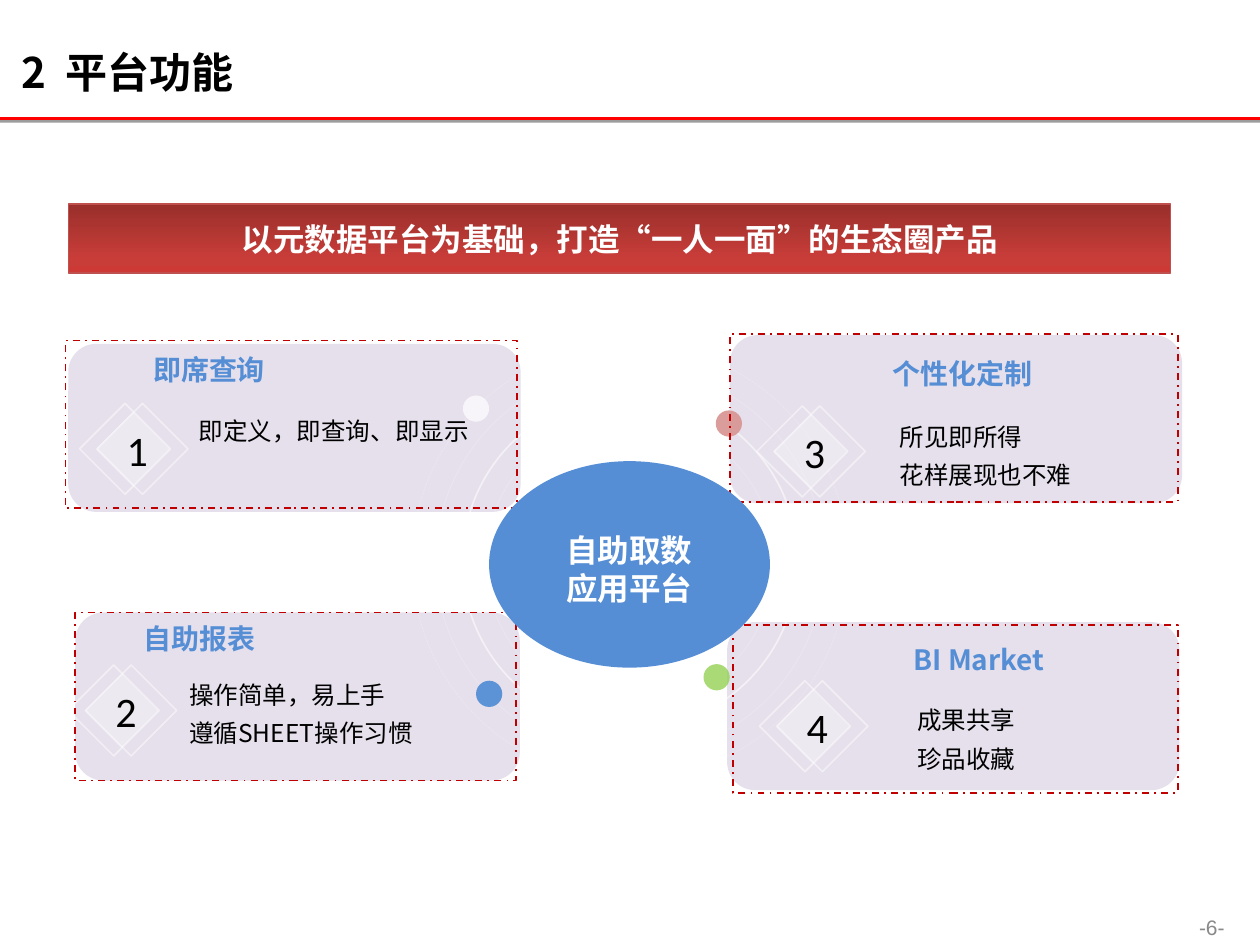
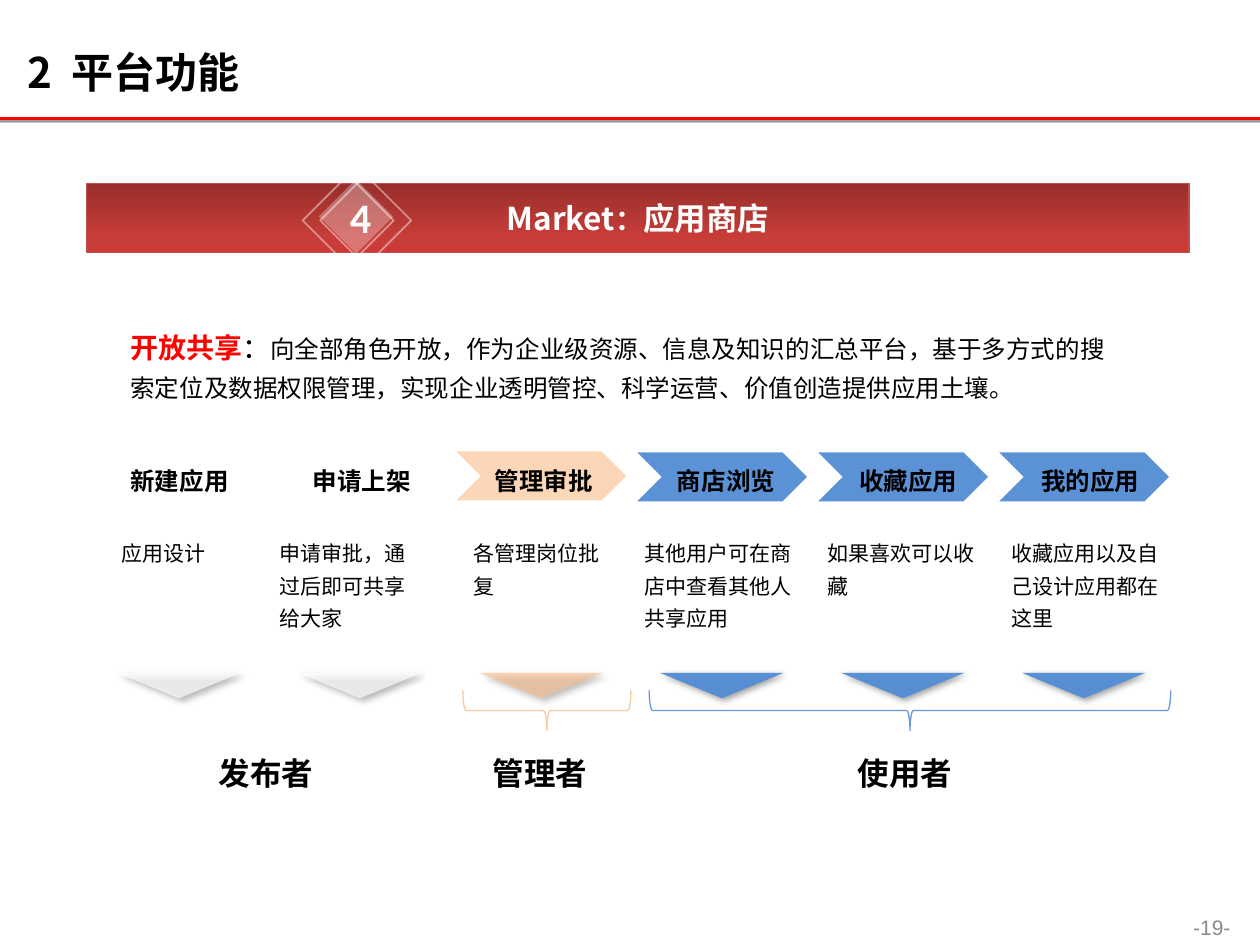
from dataclasses import dataclass

import lxml.etree
import pptx
import pptx.dml.color
import pptx.enum.dml
import pptx.enum.shapes
import pptx.enum.text
import pptx.oxml.ns
import pptx.util

Pt = pptx.util.Pt
qn = pptx.oxml.ns.qn
SHAPE = pptx.enum.shapes.MSO_SHAPE
DASH = pptx.enum.dml.MSO_LINE
ALIGN = pptx.enum.text.PP_ALIGN
ANCHOR = pptx.enum.text.MSO_ANCHOR

COLORS = {
    "white": "FFFFFF", "black": "000000", "red": "FF0000", "frame": "C00000",
    "panel": "E6E0EC", "blue": "558ED5", "rose": "D99694", "green": "92D050",
    "peach": "FAC090", "grey": "898989", "banner_edge": "C0504D",
    "banner_top": "992F2B", "banner_mid": "C93D39", "banner_end": "CD3A36",
}
SANS = "Noto Sans CJK SC"

Box = tuple[float, float, float, float]


@dataclass(frozen=True)
class Run:
    text: str
    size: float = 14
    color: str = "black"
    bold: bool = False
    font: str = SANS


@dataclass(frozen=True)
class Stroke:
    color: str
    width: float
    alpha: int = 100
    dash: DASH = DASH.SOLID


@dataclass(frozen=True)
class Feature:
    panel: Box
    frame: Box
    badge: tuple[float, float]
    title: str
    title_at: tuple[float, float]
    lines: tuple[str, ...]
    body: Box


@dataclass(frozen=True)
class Dot:
    left: float
    top: float
    color: str
    alpha: int


@dataclass(frozen=True)
class Tone:
    color: str
    alpha: int
    chevron_top: float
    shadow_distance: float


@dataclass(frozen=True)
class Step:
    label: str
    note: str
    note_left: float
    note_width: float
    tone: Tone


@dataclass(frozen=True)
class Role:
    name: str
    left: float
    brace: Box
    stroke: Stroke


PUBLISHER = Tone("white", 68, 260, 3)
MANAGER = Tone("peach", 63, 258, 3)
USER = Tone("blue", 96, 258.5, 2)

FEATURES = [
    Feature((39, 196.5, 258.5, 96), (37.5, 194.5, 258, 96), (45.5, 230.5),
            "即席查询", (80.5, 198), ("即定义，即查询、即显示",), (106.5, 229, 184, 29.5)),
    Feature((43, 350, 254, 96), (43, 350, 252, 96), (39, 380),
            "自助报表", (75, 351.5), ("操作简单，易上手", "遵循SHEET操作习惯"),
            (101, 380, 168, 51)),
    Feature((417, 191.5, 258.5, 96), (417, 191, 256, 96), (432.5, 232),
            "个性化定制", (503, 200), ("所见即所得", "花样展现也不难"),
            (507, 232.5, 140, 51)),
    Feature((415.5, 355.5, 258.5, 96), (419, 357, 254, 96), (434, 389),
            "BI Market", (515, 363.5), ("成果共享", "珍品收藏"), (517, 394.5, 90, 51)),
]
RINGS = [
    (131, Stroke("white", 1.5, 80)), (165, Stroke("white", 0.5, 17)),
    (191.5, Stroke("white", 1, 52)), (222, Stroke("white", 0.5, 17)),
    (249, Stroke("white", 0.5, 17, DASH.SQUARE_DOT)),
]
RING_CENTER = (360, 321)
DOTS = [Dot(264.5, 226, "white", 69), Dot(272, 389, "blue", 95),
        Dot(409, 234.5, "rose", 93), Dot(402, 379.5, "green", 78)]

STEPS = [
    Step("新建应用", "应用设计", 62.5, 79, PUBLISHER),
    Step("申请上架", "申请审批，通过后即可共享给大家", 152.5, 94.5, PUBLISHER),
    Step("管理审批", "各管理岗位批复", 263.5, 88, MANAGER),
    Step("商店浏览", "其他用户可在商店中查看其他人共享应用", 361.5, 100, USER),
    Step("收藏应用", "如果喜欢可以收藏", 466, 98.5, USER),
    Step("我的应用", "收藏应用以及自己设计应用都在这里", 571, 106.5, USER),
]
STEP_PITCH = 103.4
ROLES = [
    Role("发布者", 118, (144, 304.5, 23, 202.5), Stroke("white", 0.75, 88)),
    Role("管理者", 274.5, (301, 358, 23, 96), Stroke("peach", 0.75, 84)),
    Role("使用者", 483, (508.5, 257, 23, 298), Stroke("blue", 0.75, 89)),
]


def rgb(name: str) -> pptx.dml.color.RGBColor:
    return pptx.dml.color.RGBColor.from_string(COLORS[name])


def set_alpha(sp, query: str, percent: int) -> None:
    if percent < 100:
        for clr in sp._element.spPr.xpath(query):
            lxml.etree.SubElement(clr, qn("a:alpha"), val=str(percent * 1000))


def add_shadow(sp, alpha: int, blur: float, distance: float, angle: int) -> None:
    """Give a shape or connector an outer black shadow."""
    spPr = sp._element.spPr
    effects = spPr.find(qn("a:effectLst"))
    if effects is None:
        effects = lxml.etree.SubElement(spPr, qn("a:effectLst"))
    outer = lxml.etree.SubElement(
        effects, qn("a:outerShdw"), blurRad=str(Pt(blur)), dist=str(Pt(distance)),
        dir=str(angle * 60000), algn="t", rotWithShape="0")
    clr = lxml.etree.SubElement(outer, qn("a:srgbClr"), val=COLORS["black"])
    lxml.etree.SubElement(clr, qn("a:alpha"), val=str(alpha * 1000))


def add_shape(shapes, kind: SHAPE, box: Box, fill: str | None = None,
              alpha: int = 100, stroke: Stroke | None = None):
    sp = shapes.add_shape(kind, *map(Pt, box))
    sp.shadow.inherit = False
    if fill:
        sp.fill.solid()
        sp.fill.fore_color.rgb = rgb(fill)
        set_alpha(sp, "./a:solidFill/a:srgbClr", alpha)
    else:
        sp.fill.background()
    if stroke:
        sp.line.color.rgb = rgb(stroke.color)
        sp.line.width = Pt(stroke.width)
        sp.line.dash_style = stroke.dash
        set_alpha(sp, "./a:ln/a:solidFill/a:srgbClr", stroke.alpha)
    else:
        sp.line.fill.background()
    return sp


def write(tf, paragraphs: list[list[Run]], align: ALIGN = ALIGN.LEFT,
          spacing: float = 1.0) -> None:
    for i, runs in enumerate(paragraphs):
        p = tf.paragraphs[0] if i == 0 else tf.add_paragraph()
        p.alignment = align
        p.line_spacing = spacing
        for run in runs:
            r = p.add_run()
            r.text = run.text
            r.font.size = Pt(run.size)
            r.font.bold = run.bold
            r.font.name = run.font
            r.font.color.rgb = rgb(run.color)
            lxml.etree.SubElement(r._r.rPr, qn("a:ea"), typeface=run.font)


def add_text(s, box: Box, paragraphs: list[list[Run]], align: ALIGN = ALIGN.LEFT,
             spacing: float = 1.0, wrap: bool = True):
    tf = s.shapes.add_textbox(*map(Pt, box)).text_frame
    tf.word_wrap = wrap
    tf.auto_size = pptx.enum.text.MSO_AUTO_SIZE.SHAPE_TO_FIT_TEXT
    write(tf, paragraphs, align, spacing)
    return tf


def add_banner(s, left: float, top: float, runs: list[Run]) -> None:
    sp = add_shape(s.shapes, SHAPE.RECTANGLE, (left, top, 630, 39.5),
                   stroke=Stroke("banner_edge", 0.75))
    sp.fill.gradient()
    sp.fill.gradient_angle = 270
    stops = sp._element.spPr.find(qn("a:gradFill")).find(qn("a:gsLst"))
    stops.clear()
    for percent, color in ((0, "banner_top"), (80, "banner_mid"), (100, "banner_end")):
        gs = lxml.etree.SubElement(stops, qn("a:gs"), pos=str(percent * 1000))
        lxml.etree.SubElement(gs, qn("a:srgbClr"), val=COLORS[color])
    tf = sp.text_frame
    tf.vertical_anchor = ANCHOR.MIDDLE
    write(tf, [runs], ALIGN.CENTER)


def add_badge(s, left: float, top: float, number: Run, inset: float = 5) -> None:
    """Draw a number on a diamond framed by two overlapping outlines."""
    shapes = s.shapes.add_group_shape().shapes
    for shift in (0, 10):
        add_shape(shapes, SHAPE.DIAMOND, (left + shift, top, 52, 52),
                  stroke=Stroke("white", 1, 45))
    sp = add_shape(shapes, SHAPE.DIAMOND, (left + 9.2, top + inset, 42.5, 42.5),
                   "white", 30)
    sp.text_frame.vertical_anchor = ANCHOR.MIDDLE
    write(sp.text_frame, [[number]], ALIGN.CENTER)


def add_header_rule(s, layout) -> None:
    """Put the red rule on the layout, so that every slide shows it."""
    rule = s.shapes.add_connector(pptx.enum.shapes.MSO_CONNECTOR.STRAIGHT,
                                  Pt(0), Pt(67.7), Pt(720), Pt(67.7))
    rule.line.color.rgb = rgb("red")
    rule.line.width = Pt(1.5)
    add_shadow(rule, 38, 0, 1.6, 90)
    layout.shapes._spTree.append(rule._element)


def add_slide(prs, layout, title_left: float, page: int):
    s = prs.slides.add_slide(layout)
    title = s.shapes.title
    title.left, title.top, title.width, title.height = map(Pt, (title_left, 21, 687, 40))
    tf = title.text_frame
    tf.vertical_anchor = ANCHOR.MIDDLE
    write(tf, [[Run(text, 24, bold=True) for text in ("2", " ", "平台功能")]])
    tf.paragraphs[0].runs[1]._r.rPr.set("spc", "540")
    number = add_text(s, (666.5, 519, 52, 21),
                      [[Run(f"-{page}-", 12, "grey", font="Arial")]], ALIGN.CENTER)
    number.vertical_anchor = ANCHOR.MIDDLE
    return s


def build_features(s) -> None:
    for f in FEATURES:
        add_shape(s.shapes, SHAPE.ROUNDED_RECTANGLE, f.panel, "panel")
    cx, cy = RING_CENTER
    for d, stroke in RINGS:
        add_shape(s.shapes, SHAPE.OVAL, (cx - d / 2, cy - d / 2, d, d), stroke=stroke)
    for dot in DOTS:
        add_shape(s.shapes, SHAPE.OVAL, (dot.left, dot.top, 15, 15), dot.color, dot.alpha)
    for number, f in enumerate(FEATURES, 1):
        add_text(s, (*f.title_at, 158, 26.5), [[Run(f.title, 16, "blue", True)]])
        add_text(s, f.body, [[Run(line)] for line in f.lines], spacing=1.3)
        add_badge(s, *f.badge, Run(str(number), 24, font="Calibri"))
        add_shape(s.shapes, SHAPE.RECTANGLE, f.frame,
                  stroke=Stroke("frame", 1, dash=DASH.DASH_DOT))
    add_banner(s, 39, 116.5,
               [Run("以元数据平台为基础，打造“一人一面”的生态圈产品", 18, "white", True)])
    add_shape(s.shapes, SHAPE.OVAL, (279.5, 263.5, 160.5, 118), "blue")
    add_text(s, (316, 300, 87, 51),
             [[Run(line, 18, "white", True)] for line in ("自助取数", "应用平台")],
             ALIGN.CENTER, wrap=False)


def build_market(s) -> None:
    add_banner(s, 49.5, 105, [Run("Market", 18, "white", True), Run("：", 16, "white", True),
                              Run("应用商店", 18, "white", True)])
    add_badge(s, 173, 100, Run("4", 24, "white", True, "Calibri"), inset=2.5)
    add_text(s, (67.5, 179.5, 584, 55), [[
        Run("开放共享", 16, "red", True), Run("：", 16),
        Run("向全部角色开放，作为企业级资源、信息及知识的汇总平台，基于多方式的搜索定位及"
            "数据权限管理，实现企业透明管控、科学运营、价值创造提供应用土壤。")]], spacing=1.3)
    for i, step in enumerate(STEPS):
        tone, shift = step.tone, i * STEP_PITCH
        add_shape(s.shapes, SHAPE.CHEVRON, (54 + shift, tone.chevron_top, 97, 28),
                  tone.color, tone.alpha)
        add_text(s, (67.5 + i * 104.1, 263, 80, 24.5), [[Run(step.label, bold=True)]])
        add_text(s, (step.note_left, 301, step.note_width, 64),
                 [[Run(step.note, 12)]], spacing=1.3)
        triangle = add_shape(s.shapes, SHAPE.ISOSCELES_TRIANGLE,
                             (67 + shift, 384.5, 70.5, 14.5), tone.color, tone.alpha)
        triangle.rotation = 180
        add_shadow(triangle, 40, 4, tone.shadow_distance, 45)
    for role in ROLES:
        add_text(s, (role.left, 427.5, 78, 29), [[Run(role.name, 18, bold=True)]])
        brace = add_shape(s.shapes, SHAPE.LEFT_BRACE, role.brace, stroke=role.stroke)
        brace.rotation = 270


def main() -> None:
    prs = pptx.Presentation()
    prs.slide_width, prs.slide_height = Pt(720), Pt(540)
    layout = prs.slide_layouts.get_by_name("Title Only")
    features = add_slide(prs, layout, 5, 6)
    add_header_rule(features, layout)
    build_features(features)
    build_market(add_slide(prs, layout, 8.5, 19))
    prs.save("out.pptx")


if __name__ == "__main__":
    main()
